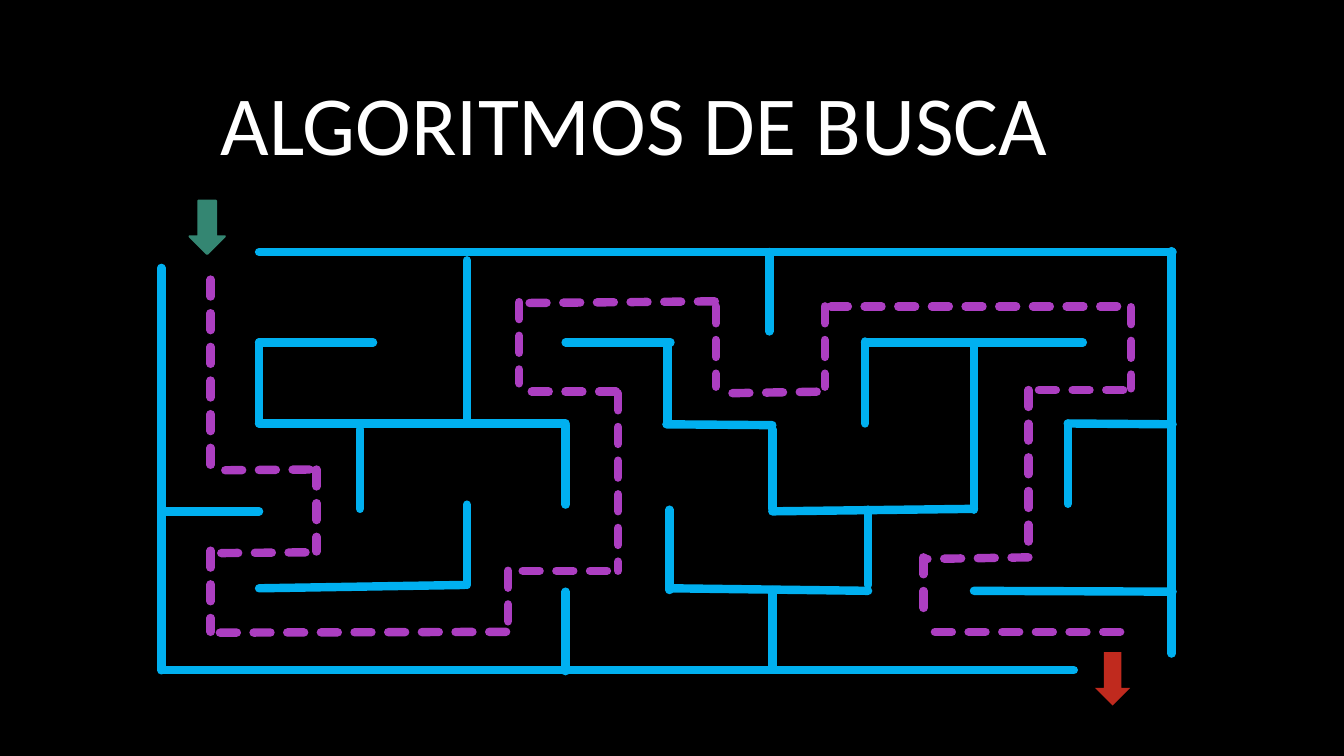
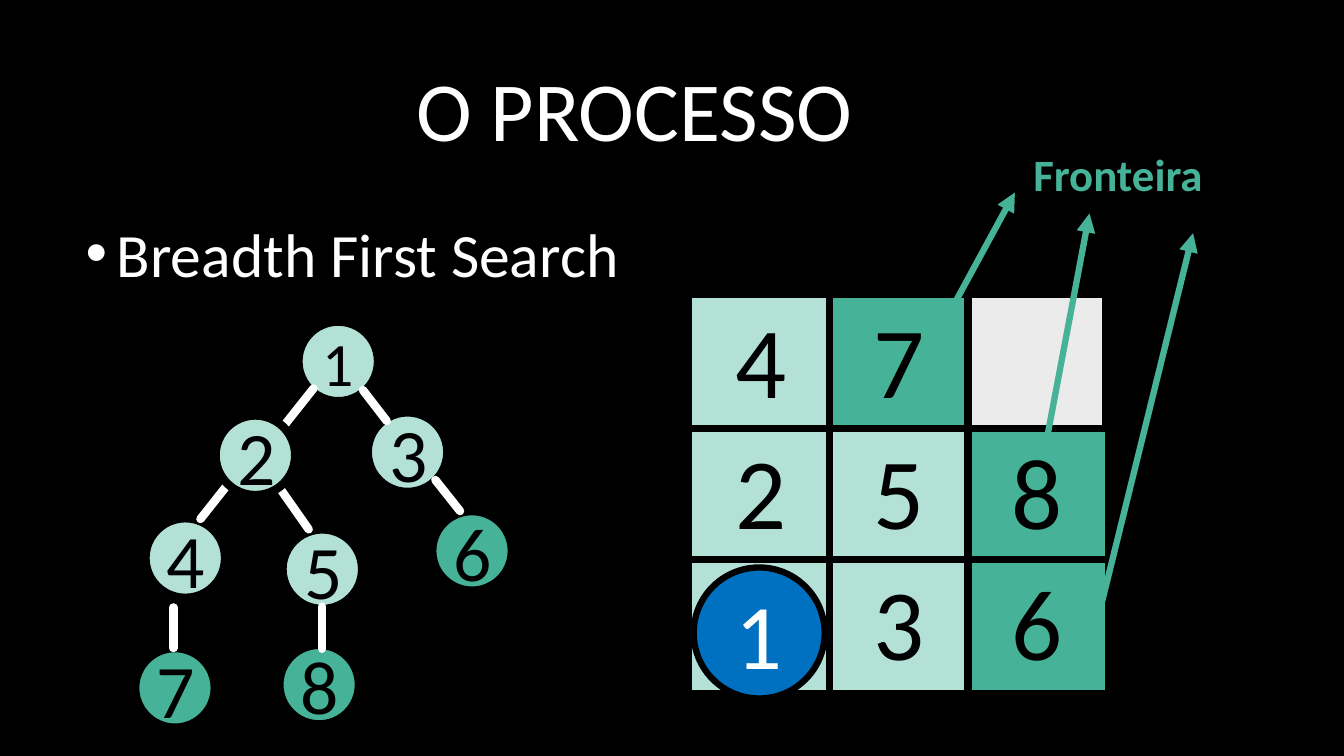
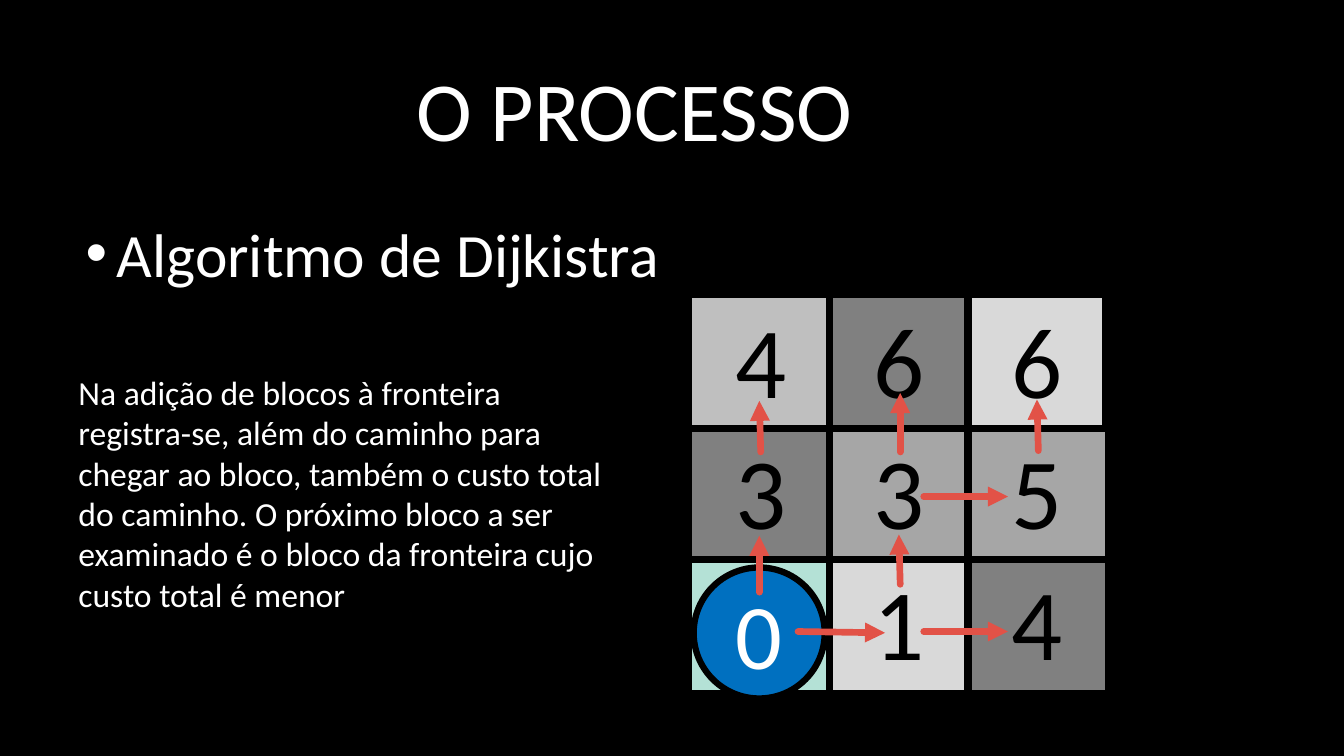
from dataclasses import dataclass

from lxml import etree
from pptx import Presentation
from pptx.dml.color import RGBColor
from pptx.enum.shapes import MSO_CONNECTOR, MSO_SHAPE
from pptx.enum.text import MSO_ANCHOR, PP_ALIGN
from pptx.oxml.ns import qn
from pptx.util import Inches, Pt

STRAIGHT = MSO_CONNECTOR.STRAIGHT
OVAL, RECTANGLE, DOWN_ARROW = MSO_SHAPE.OVAL, MSO_SHAPE.RECTANGLE, MSO_SHAPE.DOWN_ARROW
TOP, MIDDLE = MSO_ANCHOR.TOP, MSO_ANCHOR.MIDDLE
LEFT, CENTER = PP_ALIGN.LEFT, PP_ALIGN.CENTER

FONT = "Calibri"
COLORS = {
    "black": "000000", "white": "FFFFFF", "wall": "00B0F0", "route": "AC3EC1",
    "entry": "348672", "exit": "C02A1E", "mint": "B4E1D6", "green": "46B298",
    "empty": "EBEBEB", "start": "0070C0", "red": "E25247",
    "cost1": "D9D9D9", "cost2": "BFBFBF", "cost3": "A6A6A6", "cost4": "808080",
}


@dataclass
class Grid:
    """Origin and pitch, in inches, of the units a region is laid out in."""
    left: float
    top: float
    column: float
    row: float

    def point(self, x, y):
        return Inches(self.left + x * self.column), Inches(self.top + y * self.row)


MAZE = Grid(1.6, 2.5, 1, 0.83)
BOARD = Grid(6.86, 2.95, 1.37, 1.3)
TREE = Grid(1.34, 3.19, 0.79, 0.79)

# Each segment is (column, row, column, row)
MAZE_WALLS = [
    (0.97, 0, 10.03, 0), (0.97, 2.05, 4.01, 2.05), (4.01, 1.08, 5.05, 1.08),
    (0.97, 1.08, 2.1, 1.08), (6.98, 1.08, 9.14, 1.08), (8.99, 2.05, 10.03, 2.06),
    (5.01, 2.06, 6.06, 2.07), (6.06, 3.1, 8.06, 3.07), (8.06, 4.05, 10.03, 4.06),
    (5.05, 4.02, 7.01, 4.05), (0, 3.1, 0.97, 3.1), (0.02, 5, 9.05, 5),
    (0, 0.19, 0, 5), (10.02, -0.01, 10.02, 4.8), (0.97, 1.08, 0.97, 2.05),
    (1.97, 2.12, 1.97, 3.07), (4.01, 2.07, 4.01, 3.02), (3.03, 3.02, 3.03, 3.98),
    (5.04, 3.08, 5.04, 4.04), (5.02, 1.08, 5.02, 2.05), (0.97, 4.02, 3.01, 3.98),
    (6.03, 0, 6.03, 0.95), (3.03, 0.1, 3.03, 2.05), (8.06, 1.13, 8.06, 3.08),
    (6.98, 1.07, 6.98, 2.05), (8.99, 2.05, 8.99, 3.01), (7.01, 3.08, 7.01, 3.98),
    (6.06, 2.12, 6.06, 3.07), (6.06, 4.04, 6.06, 4.99), (4.01, 4.06, 4.01, 5.01),
]
MAZE_ROUTE = [
    (0.49, 0.33, 0.49, 2.59), (3.55, 0.6, 3.55, 1.57), (5.5, 0.65, 5.5, 1.61),
    (6.58, 0.65, 6.58, 1.61), (9.62, 0.66, 9.62, 1.63), (8.6, 1.65, 8.6, 3.55),
    (4.53, 1.69, 4.53, 3.81), (1.54, 2.6, 1.54, 3.58), (0.49, 3.57, 0.49, 4.54),
    (3.44, 3.81, 3.44, 4.54), (7.56, 3.65, 7.56, 4.4), (9.51, 4.54, 7.56, 4.54),
    (8.6, 3.65, 7.56, 3.67), (9.54, 1.65, 8.61, 1.65), (9.48, 0.65, 6.59, 0.65),
    (6.5, 1.67, 5.56, 1.69), (5.49, 0.59, 3.58, 0.61), (4.42, 3.81, 3.49, 3.81),
    (1.43, 3.59, 0.5, 3.6), (1.47, 2.6, 0.53, 2.61), (4.51, 1.67, 3.57, 1.67),
    (3.42, 4.54, 0.54, 4.55),
]

# Label, column, row, text size and colour of each node
TREE_NODES = [
    ("1", 2.05, 0, 44, "mint"), ("3", 2.92, 1.14, 54, "mint"),
    ("4", 0.13, 2.47, 54, "mint"), ("5", 1.85, 2.61, 54, "mint"),
    ("6", 3.73, 2.38, 54, "green"), ("7", 0, 4.1, 54, "green"),
    ("8", 1.81, 4.06, 54, "green"),
]
TREE_TOP_NODE = ("2", 1.01, 1.18, 54, "mint")
TREE_EDGES = [
    (3.77, 1.99, 4.08, 2.38), (0.48, 3.59, 0.48, 4.1), (2.35, 3.58, 2.35, 4.11),
    (2.86, 0.86, 3.16, 1.25), (2.24, 0.84, 1.86, 1.32), (1.2, 2, 0.82, 2.48),
    (1.78, 2.04, 2.18, 2.61),
]

FRONTIER_CELLS = [
    [("4", "mint"), ("7", "green"), ("", "empty")],
    [("2", "mint"), ("5", "mint"), ("8", "green")],
    [("", "mint"), ("3", "mint"), ("6", "green")],
]
FRONTIER_ARROWS = [
    (1.68, 0.48, 2.34, -0.8), (2.55, 1.2, 2.88, -0.64), (2.96, 2.37, 3.63, -0.49),
]
COST_CELLS = [
    [("4", "cost2"), ("6", "cost4"), ("6", "cost1")],
    [("3", "cost4"), ("3", "cost3"), ("5", "cost3")],
    [("", "mint"), ("1", "cost1"), ("4", "cost4")],
]
COST_ARROWS = [
    (0.77, 2.55, 1.4, 2.56), (1.68, 2.55, 2.29, 2.55), (1.51, 2.19, 1.5, 1.81),
    (1.51, 1.18, 1.51, 0.73), (1.68, 1.52, 2.29, 1.52), (0.49, 2.25, 0.49, 1.82),
    (0.5, 1.18, 0.49, 0.79), (2.51, 1.17, 2.5, 0.78),
]
COST_NOTE = (
    "Na adição de blocos à fronteira registra-se, além do caminho para chegar ao "
    "bloco, também o custo total do caminho. O próximo bloco a ser examinado é o "
    "bloco da fronteira cujo custo total é menor"
)


def rgb(name):
    return RGBColor.from_string(COLORS[name])


def write(text_frame, text, size, color, align=LEFT, bold=False):
    text_frame.text = text
    paragraph = text_frame.paragraphs[0]
    paragraph.alignment = align
    font = paragraph.font if not text else paragraph.runs[0].font
    font.name, font.size, font.bold = FONT, Pt(size), bold
    font.color.rgb = rgb(color)
    return paragraph


def add_text(slide, box, text, size, color="white", align=LEFT, anchor=MIDDLE,
             bold=False, wrap=True):
    text_frame = slide.shapes.add_textbox(*map(Inches, box)).text_frame
    text_frame.word_wrap = wrap
    text_frame.vertical_anchor = anchor
    return write(text_frame, text, size, color, align, bold)


def add_shape(slide, kind, box, fill, line=None, width=0, text="", size=18, color="black"):
    shape = slide.shapes.add_shape(kind, *map(Inches, box))
    shape.shadow.inherit = False
    shape.fill.solid()
    shape.fill.fore_color.rgb = rgb(fill)
    if line:
        shape.line.color.rgb = rgb(line)
        shape.line.width = Pt(width)
    else:
        shape.line.fill.background()
    if text:
        shape.text_frame.vertical_anchor = MIDDLE
        write(shape.text_frame, text, size, color, CENTER)


def add_lines(slide, grid, segments, color, width, rounded=True, dashed=False, arrow=False):
    for x1, y1, x2, y2 in segments:
        connector = slide.shapes.add_connector(
            STRAIGHT, *grid.point(x1, y1), *grid.point(x2, y2))
        connector.line.color.rgb = rgb(color)
        connector.line.width = Pt(width)
        properties = connector._element.spPr
        line = properties.find(qn("a:ln"))
        if rounded:
            line.set("cap", "rnd")
        if dashed:
            etree.SubElement(line, qn("a:prstDash"), val="sysDash")
        if arrow:
            etree.SubElement(line, qn("a:tailEnd"), type="triangle")
        etree.SubElement(properties, qn("a:effectLst"))


def add_title(slide, text, top, height):
    add_text(slide, (0.75, top, 11.08, height), text, 60, align=CENTER)


def add_heading(slide, text):
    paragraph = add_text(slide, (0.75, 1.76, 7.16, 1.49), text, 44)
    properties = paragraph._p.get_or_add_pPr()
    properties.set("marL", str(Inches(0.31)))
    properties.set("indent", str(-Inches(0.31)))
    bullet_color = etree.SubElement(properties, qn("a:buClr"))
    etree.SubElement(bullet_color, qn("a:srgbClr"), val=COLORS["white"])
    etree.SubElement(properties, qn("a:buFont"), typeface="Arial")
    etree.SubElement(properties, qn("a:buChar"), char="•")
    paragraph.space_after = Pt(10)


def set_borders(cell, widths):
    properties = cell._tc.get_or_add_tcPr()
    for side, width in widths.items():
        line = etree.SubElement(properties, qn(f"a:ln{side}"), w=str(Pt(width)))
        fill = etree.SubElement(line, qn("a:solidFill"))
        etree.SubElement(fill, qn("a:srgbClr"), val=COLORS["black"])


def add_board_frame(slide, grid):
    margin = 0.13
    add_shape(slide, RECTANGLE,
              (grid.left - margin, grid.top - margin,
               3 * grid.column + 2 * margin, 3 * grid.row + 2 * margin),
              "black", "black", 3)


def add_board(slide, grid, cells, start_label):
    size = len(cells)
    table = slide.shapes.add_table(
        size, size, *grid.point(0, 0),
        Inches(size * grid.column), Inches(size * grid.row)).table
    table.first_row = table.horz_banding = False
    for index in range(size):
        table.columns[index].width = Inches(grid.column)
        table.rows[index].height = Inches(grid.row)
    last = size - 1
    for row, entries in enumerate(cells):
        for column, (label, color) in enumerate(entries):
            cell = table.cell(row, column)
            # Thin outside, thick inside; the top row keeps a thick right edge
            set_borders(cell, {
                "L": 6 if column else 1,
                "R": 6 if column < last or row == 0 else 1,
                "T": 6 if row else 1,
                "B": 6 if row < last else 1,
            })
            cell.fill.solid()
            cell.fill.fore_color.rgb = rgb(color)
            cell.vertical_anchor = MIDDLE if (row, column) == (1, 0) else TOP
            write(cell.text_frame, label, 72 if label else 18, "black", CENTER)
    # Starting position in the lower left cell
    add_shape(slide, OVAL,
              (grid.left + 0.02, grid.top + 2 * grid.row + 0.08, 1.3, 1.3),
              "start", "black", 4.5, start_label, 66, "white")


def add_node(slide, grid, label, column, row, size, color):
    add_shape(slide, OVAL,
              (grid.left + column * grid.column, grid.top + row * grid.row,
               grid.column, grid.row),
              color, "black", 6, label, size)


def add_tree(slide, grid):
    for node in TREE_NODES:
        add_node(slide, grid, *node)
    add_lines(slide, grid, TREE_EDGES, "white", 6)
    add_node(slide, grid, *TREE_TOP_NODE)


def build_maze_slide(slide):
    add_title(slide, "ALGORITMOS DE BUSCA", 0.41, 1.59)
    add_lines(slide, MAZE, MAZE_WALLS, "wall", 6)
    add_lines(slide, MAZE, MAZE_ROUTE, "route", 6, dashed=True)
    add_shape(slide, DOWN_ARROW, (1.88, 1.99, 0.35, 0.53), "entry", "entry", 1.5)
    add_shape(slide, DOWN_ARROW, (10.86, 6.47, 0.35, 0.53), "exit")


def start_process_slide(slide, heading, cells, start_label):
    add_board_frame(slide, BOARD)
    add_title(slide, "O PROCESSO", 0.67, 0.8)
    add_board(slide, BOARD, cells, start_label)
    add_heading(slide, heading)


def build_breadth_first_slide(slide):
    start_process_slide(slide, "Breadth First Search", FRONTIER_CELLS, "1")
    add_tree(slide, TREE)
    add_lines(slide, BOARD, FRONTIER_ARROWS, "green", 4.5, rounded=False, arrow=True)
    add_text(slide, (10.15, 1.41, 1.9, 0.64), "Fronteira", 32, "green",
             anchor=TOP, bold=True, wrap=False)


def build_dijkstra_slide(slide):
    start_process_slide(slide, "Algoritmo de Dijkistra", COST_CELLS, "0")
    add_lines(slide, BOARD, COST_ARROWS, "red", 4.75, arrow=True)
    add_text(slide, (0.68, 3.54, 5.44, 2.7), COST_NOTE, 24)


def main():
    presentation = Presentation()
    presentation.slide_width, presentation.slide_height = Inches(13.33), Inches(7.5)
    background = presentation.slide_master.background.fill
    background.solid()
    background.fore_color.rgb = rgb("black")
    for build in (build_maze_slide, build_breadth_first_slide, build_dijkstra_slide):
        build(presentation.slides.add_slide(presentation.slide_layouts[6]))
    presentation.save("out.pptx")


if __name__ == "__main__":
    main()
